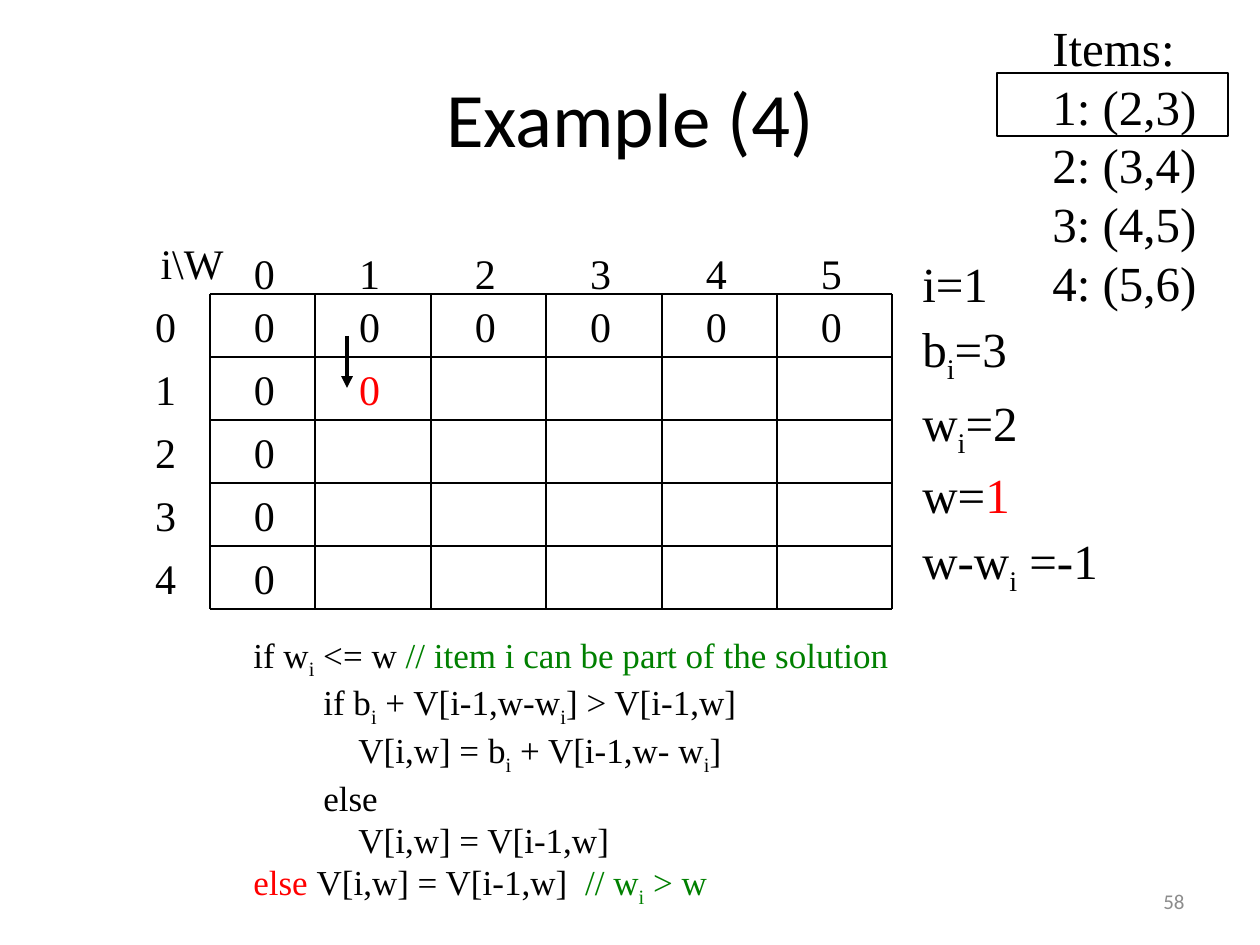
from lxml import etree
from pptx import Presentation
from pptx.dml.color import RGBColor
from pptx.enum.shapes import MSO_CONNECTOR, MSO_SHAPE
from pptx.enum.text import MSO_ANCHOR, PP_ALIGN
from pptx.oxml.ns import qn
from pptx.util import Emu, Pt

LINE, RECT = MSO_CONNECTOR.STRAIGHT, MSO_SHAPE.RECTANGLE
MIDDLE = MSO_ANCHOR.MIDDLE
CENTER, RIGHT = PP_ALIGN.CENTER, PP_ALIGN.RIGHT
SERIF, SANS = "Times New Roman", "Calibri"
COLORS = {"ink": "000000", "red": "FF0000", "green": "008000", "gray": "8C8C8C"}
PX = 914400 / 126


def px(*nums):
    return [Emu(round(n * PX)) for n in nums]


def write(frame, lines, size, font=SERIF):
    """Each line is a list of (text, color); the letter after "_" is a subscript."""
    for n, line in enumerate(lines):
        para = frame.paragraphs[0] if n == 0 else frame.add_paragraph()
        for text, color in line:
            first, *rest = text.split("_")
            parts = [(first, False)]
            for part in rest:
                parts += [(part[0], True), (part[1:], False)]
            for word, sub in parts:
                if not word:
                    continue
                run = para.add_run()
                run.text = word
                run.font.size, run.font.name = Pt(size), font
                run.font.color.rgb = RGBColor.from_string(COLORS[color])
                if sub:
                    run.font._element.set("baseline", "-25000")


prs = Presentation()
prs.slide_width, prs.slide_height = px(1260, 945)
slide = prs.slides.add_slide(prs.slide_layouts[5])
shapes = slide.shapes
ink = RGBColor.from_string(COLORS["ink"])

# Title
title = shapes.title
title.left, title.top, title.width, title.height = px(63, 38, 1134, 157)
title.text_frame.vertical_anchor = MIDDLE
write(title.text_frame, [[("Example (4)", "ink")]], 44, SANS)
title.text_frame.paragraphs[0].alignment = CENTER

# Pseudocode
code = [
    (0, [("if w_i <= w ", "ink"), ("// item i can be part of the solution", "green")]),
    (70, [("if b_i + V[i-1,w-w_i] > V[i-1,w]", "ink")]),
    (105, [("V[i,w] = b_i + V[i-1,w- w_i]", "ink")]),
    (70, [("else", "ink")]),
    (105, [("V[i,w] = V[i-1,w]", "ink")]),
    (0, [("else ", "red"), ("V[i,w] = V[i-1,w]  ", "ink"), ("// w_i > w", "green")]),
]
frame = shapes.add_textbox(*px(241, 627, 955, 265)).text_frame
frame.word_wrap = True
write(frame, [line for indent, line in code], 20)
for para, (indent, line) in zip(frame.paragraphs, code):
    para._p.get_or_add_pPr().set("marL", str(px(indent)[0]))

# Items, with the current one boxed
items = ["Items:", "1: (2,3)", "2: (3,4)", "3: (4,5)", "4: (5,6)"]
frame = shapes.add_textbox(*px(1040, 11, 181, 307)).text_frame
frame.word_wrap = False
write(frame, [[(item, "ink")] for item in items], 28)

box = shapes.add_shape(RECT, *px(997, 73, 231, 63))
box.shadow.inherit = False
box.fill.background()
box.line.color.rgb, box.line.width = ink, Pt(0.75)

# Current values
frame = shapes.add_textbox(*px(910, 241, 203, 336)).text_frame
frame.word_wrap = True
write(frame, [
    [("i=1", "ink")],
    [("b_i=3", "ink")],
    [("w_i=2", "ink")],
    [("w=", "ink"), ("1", "red")],
    [("w-w_i =-1", "ink")],
], 28)
for para in frame.paragraphs:
    para.line_spacing = 1.1

# Grid lines, and the arrow from the cell above
edges = [210, 315, 431, 546, 662, 777, 892]
top, step, rows, cols = 294, 63, 5, 6
levels = [top + row * step for row in range(rows + 1)]

strokes = [(x, top, x, levels[-1], 0.75) for x in edges]
strokes += [(edges[0], y, edges[-1], y, 0.75) for y in levels]
strokes.append((347, 336, 347, 388, 2.25))
for *ends, width in strokes:
    line = shapes.add_connector(LINE, *px(*ends))
    line.line.color.rgb, line.line.width = ink, Pt(width)
    etree.SubElement(line._element.spPr, qn("a:effectLst"))
etree.SubElement(line.line._get_or_add_ln(), qn("a:tailEnd"), type="triangle")

# Labels and values
cells = [(x + 31, 241, 47, str(n), "ink") for n, x in enumerate(edges[:-1])]
cells += [(142, y, 47, str(n), "ink") for n, y in enumerate(levels[:-1])]
cells += [(x + 31, top, 47, "0", "ink") for x in edges[:-1]]
cells += [(edges[0] + 31, y, 47, "0", "ink") for y in levels[1:-1]]
cells.append((edges[1] + 31, levels[1], 47, "0", "red"))
cells.append((145, 231, 94, "i\\W", "ink"))
for x, y, wide, text, color in cells:
    frame = shapes.add_textbox(*px(x, y, wide, step)).text_frame
    frame.word_wrap = False
    write(frame, [[(text, color)]], 24)
    frame.paragraphs[0].alignment = CENTER

# Slide number
frame = shapes.add_textbox(*px(903, 876, 294, 50)).text_frame
frame.word_wrap = True
frame.vertical_anchor = MIDDLE
write(frame, [[("58", "gray")]], 12, SANS)
frame.paragraphs[0].alignment = RIGHT

prs.save("out.pptx")
